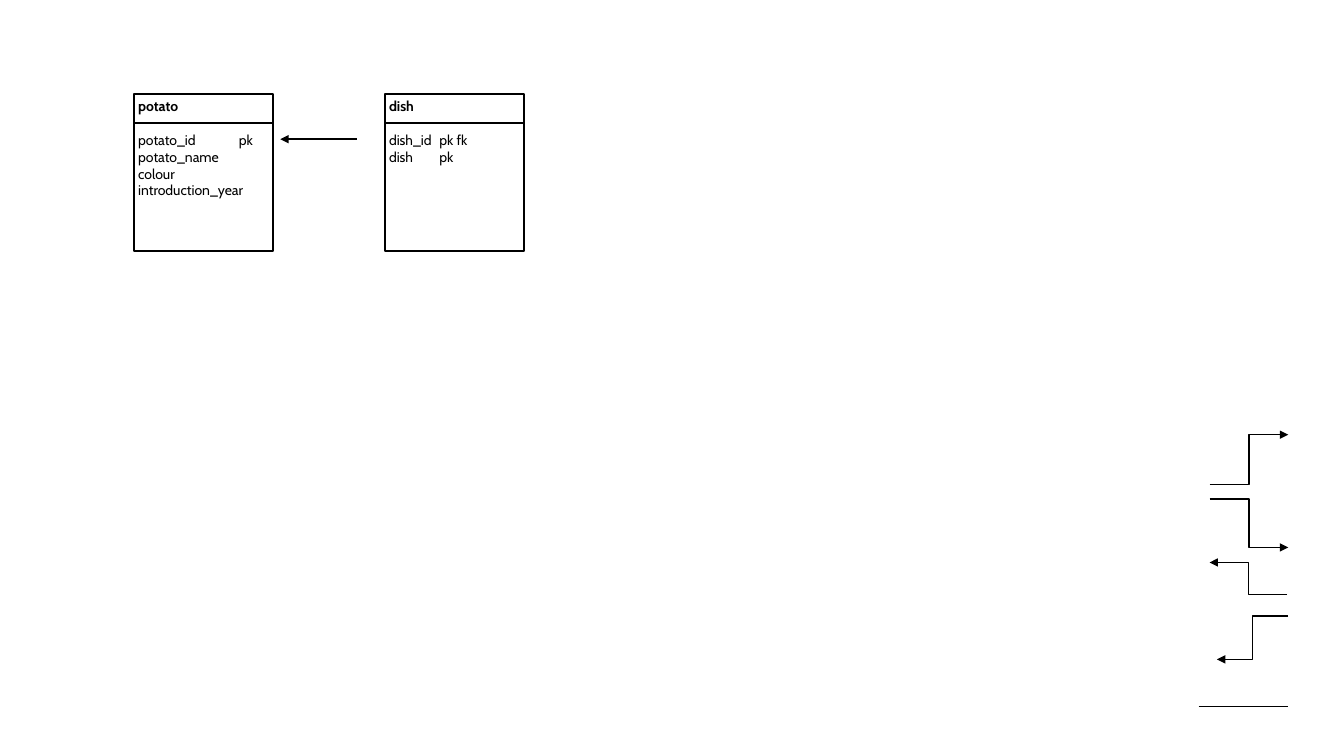
from dataclasses import dataclass

from lxml import etree
from pptx import Presentation
from pptx.dml.color import RGBColor
from pptx.enum import shapes, text
from pptx.oxml import ns
from pptx.util import Pt


@dataclass
class Theme:
    ink: RGBColor = RGBColor(0, 0, 0)
    font: str = "Cabin"
    size: float = 10
    edge: float = 1.5
    rule: float = 1
    inset: float = 2.9
    gap: float = 12


class Board:
    """Draws the parts of a table diagram on one slide."""

    def __init__(self, slide, theme):
        self.slide = slide
        self.theme = theme

    def line(self, start, end, kind="STRAIGHT", arrow=False, home=None):
        home = home or self.slide.shapes
        link = home.add_connector(shapes.MSO_CONNECTOR[kind],
                                  *map(Pt, start + end))
        link.line.color.rgb = self.theme.ink
        link.line.width = Pt(self.theme.rule)
        props = link._element.spPr
        if arrow:
            tail = etree.SubElement(props.find(ns.qn("a:ln")),
                                    ns.qn("a:tailEnd"))
            tail.set("type", "triangle")
        etree.SubElement(props, ns.qn("a:effectLst"))

    def label(self, para, words, bold=False):
        run = para.add_run()
        run.text = words
        font = run.font
        font.name = self.theme.font
        font.size = Pt(self.theme.size)
        font.bold = bold
        font.color.rgb = self.theme.ink

    def table(self, left, top, name, fields, wide=99.4, high=112.3, head=20.9):
        theme = self.theme
        group = self.slide.shapes.add_group_shape()
        box = group.shapes.add_shape(shapes.MSO_SHAPE.RECTANGLE,
                                     *map(Pt, (left, top, wide, high)))
        box.shadow.inherit = False
        box.fill.background()
        box.line.color.rgb = theme.ink
        box.line.width = Pt(theme.edge)

        frame = box.text_frame
        frame.word_wrap = True
        frame.vertical_anchor = text.MSO_ANCHOR.TOP
        frame.margin_left = frame.margin_right = Pt(theme.inset)
        frame.margin_top = frame.margin_bottom = Pt(theme.inset)
        for row, words in enumerate([name] + fields):
            para = frame.add_paragraph() if row else frame.paragraphs[0]
            para.alignment = text.PP_ALIGN.LEFT
            if row == 1:
                para.space_before = Pt(theme.gap)
            self.label(para, words, bold=row == 0)

        y = top + head
        self.line((left, y), (left + wide, y), home=group.shapes)


def main():
    deck = Presentation()
    deck.slide_width, deck.slide_height = Pt(960), Pt(540)
    board = Board(deck.slides.add_slide(deck.slide_layouts[6]), Theme())

    # Tables
    top = 67
    board.table(275, top, "dish", ["dish_id\tpk fk", "dish\tpk"])
    board.table(95.8, top, "potato", ["potato_id\tpk", "potato_name",
                                      "colour", "introduction_year"])

    # Link from dish to potato
    board.line((254.9, 99.4), (200.2, 99.4), arrow=True)

    # Spare elbow arrows
    near, far = 864, 920.2
    elbows = [((near, 356.4), (far, 391)),
              ((far - 0.7, 424.8), (near, 401.8)),
              ((far, 439.9), (869.3, 471)),
              ((near, 346.3), (far, 310.5))]
    for start, end in elbows:
        board.line(start, end, kind="ELBOW", arrow=True)

    # Spare plain line
    board.line((856.1, 504.7), (far, 504.7))

    deck.save("out.pptx")


if __name__ == "__main__":
    main()
